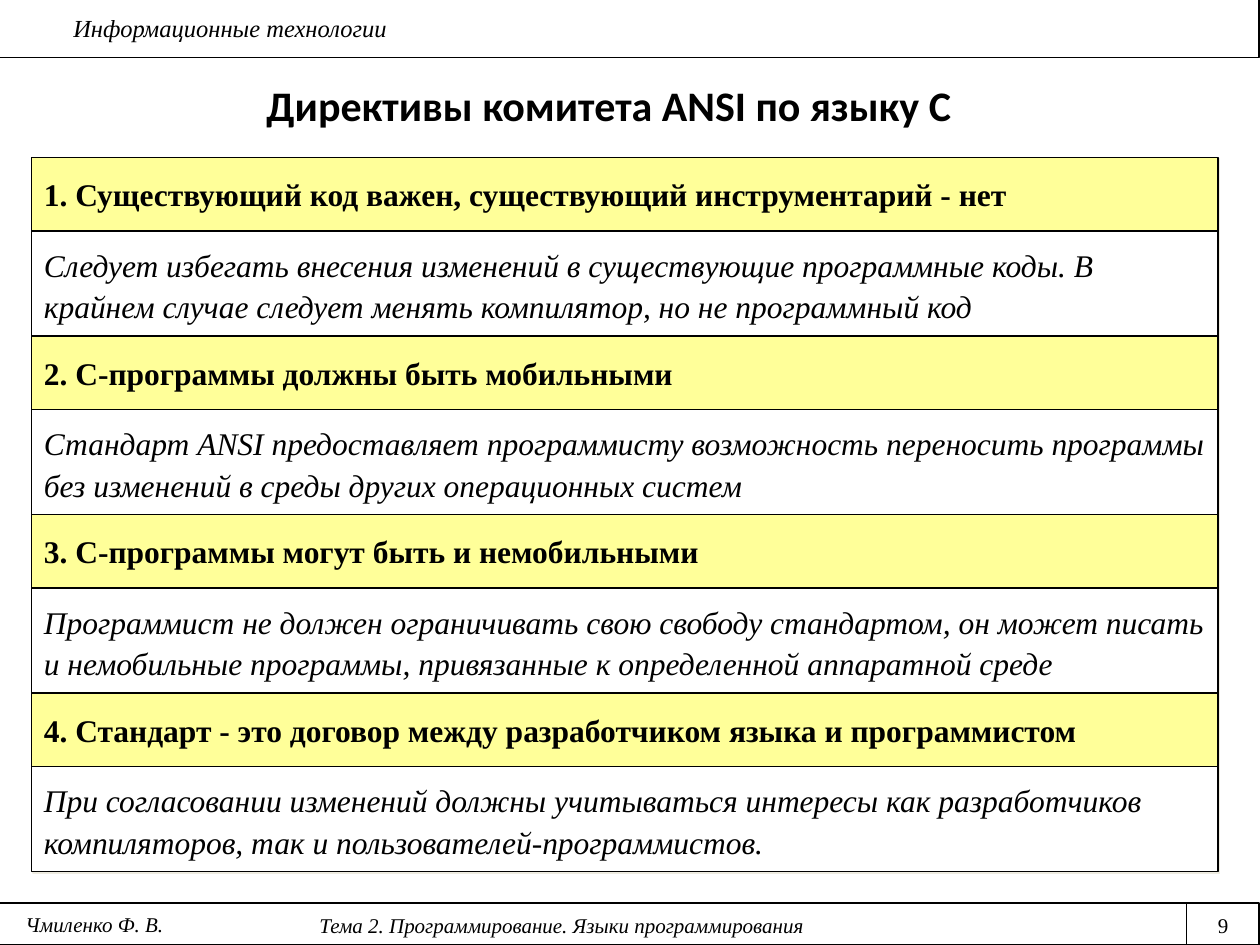
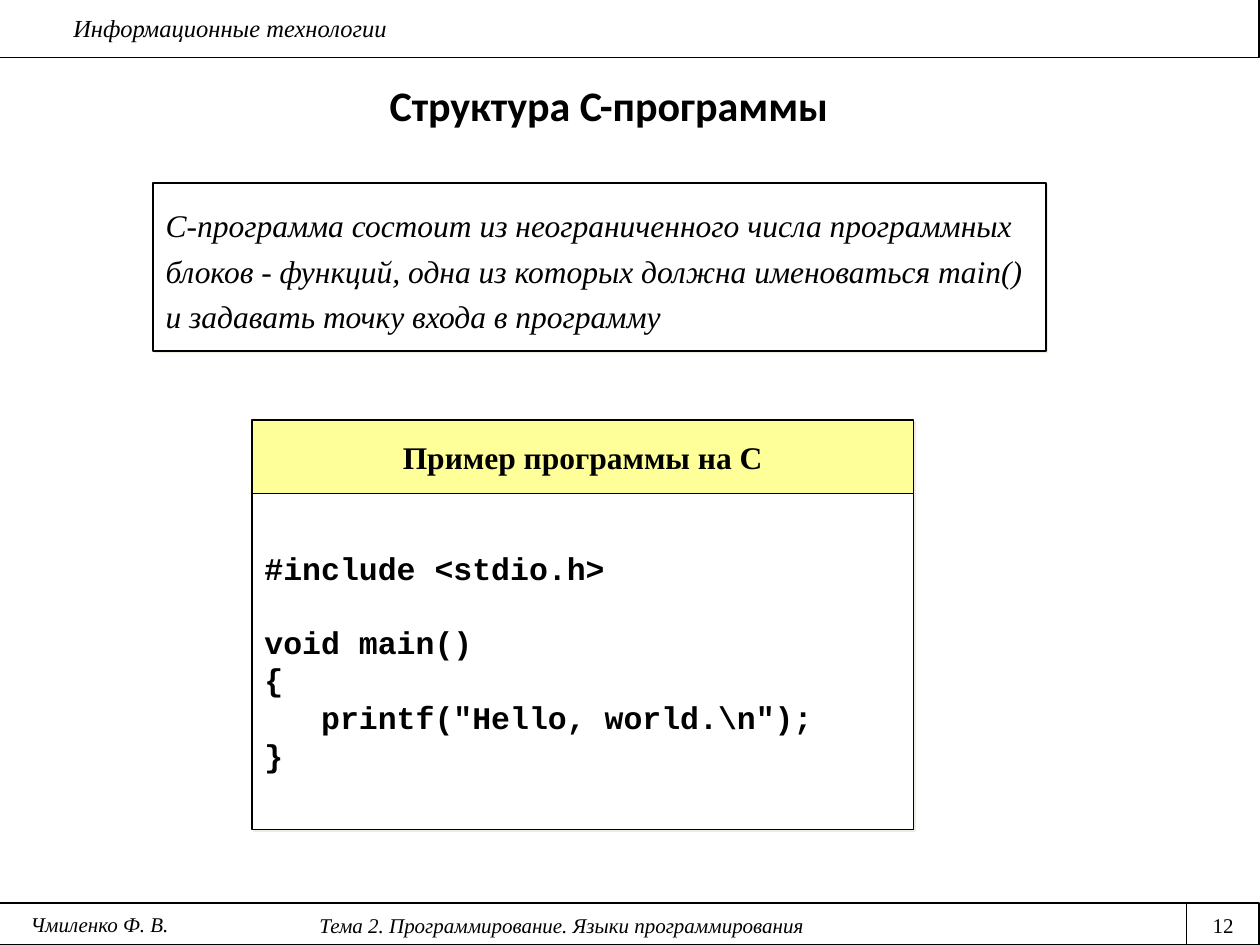
import pptx
import pptx.dml.color
import pptx.enum.shapes
import pptx.enum.text
import pptx.oxml
import pptx.oxml.ns
import pptx.util
from lxml import etree

PX = 7620  # EMU in one px, 120 px to the inch
SLIDE_W, SLIDE_H = 1200, 900
HEADER_H, FOOTER_H = 55, 40
FOOTER_TOP = SLIDE_H - FOOTER_H
NUMBER_LEFT = 1130
HEADING_H, STATEMENT_H = 70, 100

BLACK, WHITE, YELLOW, SHADE = "000000", "FFFFFF", "FFFF99", "EEECE1"
SERIF, SANS, MONO = "Times New Roman", "Calibri", "Courier New"
LEFT = pptx.enum.text.PP_ALIGN.LEFT
CENTER = pptx.enum.text.PP_ALIGN.CENTER
TOP = pptx.enum.text.MSO_ANCHOR.TOP
MIDDLE = pptx.enum.text.MSO_ANCHOR.MIDDLE

COURSE = "Информационные технологии"
TOPIC = "Тема 2. Программирование. Языки программирования"
AUTHOR = "Чмиленко Ф. В."

DIRECTIVES = [
    ("1. Существующий код важен, существующий инструментарий - нет",
     "Следует избегать внесения изменений в существующие программные коды. "
     "В крайнем случае следует менять компилятор, но не программный код"),
    ("2. С-программы должны быть мобильными",
     "Стандарт ANSI предоставляет программисту возможность переносить программы "
     "без изменений в среды других операционных систем"),
    ("3. С-программы могут быть и немобильными",
     "Программист не должен ограничивать свою свободу стандартом, он может писать "
     "и немобильные программы, привязанные к определенной аппаратной среде"),
    ("4. Стандарт - это договор между разработчиком языка и программистом",
     "При согласовании изменений должны учитываться интересы как разработчиков "
     "компиляторов, так и пользователей-программистов."),
]
DEFINITION = ("С-программа состоит из неограниченного числа программных блоков - функций, "
              "одна из которых должна именоваться main() и задавать точку входа в программу")
# Each code line: text, indent in characters, blank lines above
CODE = [
    ("#include <stdio.h>", 0, 0),
    ("void main()", 0, 1),
    ("{", 0, 0),
    ('printf("Hello, world.\\n");', 3, 0),
    ("}", 0, 0),
]
CODE_SIZE = 18
CODE_CHAR_W, CODE_LINE_H = 0.6 * CODE_SIZE, 1.13 * CODE_SIZE


def emu(*lengths):
    return [pptx.util.Emu(length * PX) for length in lengths]


def color(value):
    return pptx.dml.color.RGBColor.from_string(value)


def style(paragraph, size, font=SERIF, bold=False, italic=False, align=LEFT, spacing=None):
    paragraph.alignment = align
    if spacing:
        paragraph.line_spacing = spacing
    paragraph.font.name = font
    paragraph.font.size = pptx.util.Pt(size)
    paragraph.font.bold = bold
    paragraph.font.italic = italic
    paragraph.font.color.rgb = color(BLACK)


def label(slide, box, text, size, anchor=TOP, **look):
    frame = slide.shapes.add_textbox(*emu(*box)).text_frame
    frame.word_wrap = True
    frame.vertical_anchor = anchor
    frame.text = text
    style(frame.paragraphs[0], size, **look)


def band(slide, box, fill=WHITE, width=0.75):
    """Outlined rectangle without a shadow."""
    rect = slide.shapes.add_shape(pptx.enum.shapes.MSO_SHAPE.RECTANGLE, *emu(*box))
    rect.shadow.inherit = False
    rect.fill.solid()
    rect.fill.fore_color.rgb = color(fill)
    rect.line.color.rgb = color(BLACK)
    rect.line.width = pptx.util.Pt(width)
    return rect


def panel(slide, box, fill=WHITE):
    """Band with a pale offset shadow; returns its text frame."""
    rect = band(slide, box, fill, 1)
    effects = rect._element.spPr.find(pptx.oxml.ns.qn("a:effectLst"))
    shadow = etree.SubElement(effects, pptx.oxml.ns.qn("a:outerShdw"),
                              dist="17960", dir="2700000", algn="ctr", rotWithShape="0")
    etree.SubElement(shadow, pptx.oxml.ns.qn("a:srgbClr"), val=SHADE)
    frame = rect.text_frame
    frame.word_wrap = True
    frame.vertical_anchor = MIDDLE
    return frame


def text_panel(slide, box, text, fill=WHITE, **look):
    frame = panel(slide, box, fill)
    frame.text = text
    style(frame.paragraphs[0], 18, **look)


def header(slide):
    band(slide, (-1, -1, SLIDE_W, HEADER_H + 1))
    label(slide, (58, 7, 1130, 41), COURSE, 14, italic=True)


def footer(slide, number, author_left):
    band(slide, (-1, FOOTER_TOP, SLIDE_W, FOOTER_H))
    label(slide, (0, FOOTER_TOP + 3, 1070, 36), TOPIC, 12, italic=True, align=CENTER)
    label(slide, (NUMBER_LEFT, FOOTER_TOP + 3, SLIDE_W - NUMBER_LEFT, 36),
          str(number), 12, align=CENTER)
    divider = slide.shapes.add_connector(
        pptx.enum.shapes.MSO_CONNECTOR.STRAIGHT,
        *emu(NUMBER_LEFT, FOOTER_TOP, NUMBER_LEFT, SLIDE_H))
    divider.line.color.rgb = color(BLACK)
    divider.line.width = pptx.util.Pt(0.75)
    etree.SubElement(divider._element.spPr, pptx.oxml.ns.qn("a:effectLst"))
    label(slide, (author_left, FOOTER_TOP + 2, 180, 36), AUTHOR, 12,
          italic=True, align=CENTER)


def lecture_slide(deck, title, number, author_left=0):
    slide = deck.slides.add_slide(deck.slide_layouts[6])
    header(slide)
    footer(slide, number, author_left)
    label(slide, (30, 70, 1100, 60), title, 24, anchor=MIDDLE,
          font=SANS, bold=True, align=CENTER)
    return slide


def directive_list(slide, left, top, width):
    for index, (heading, statement) in enumerate(DIRECTIVES):
        y = top + index * (HEADING_H + STATEMENT_H)
        text_panel(slide, (left, y, width, HEADING_H), heading, YELLOW, bold=True)
        text_panel(slide, (left, y + HEADING_H, width, STATEMENT_H), statement,
                   italic=True, spacing=1.1)


def code_example(slide, left, top, width, height):
    text_panel(slide, (left, top, width, HEADING_H), "Пример программы на С", YELLOW,
               bold=True, align=CENTER)
    listing = panel(slide, (left, top + HEADING_H, width, height - HEADING_H))
    for index, (code, indent, blank_lines) in enumerate(CODE):
        line = listing.add_paragraph() if index else listing.paragraphs[0]
        line.text = code
        style(line, CODE_SIZE, font=MONO, bold=True)
        line.space_before = pptx.util.Pt(blank_lines * CODE_LINE_H)
        line._p.get_or_add_pPr().set("marL", str(pptx.util.Pt(indent * CODE_CHAR_W)))


def main():
    deck = pptx.Presentation()
    deck.slide_width, deck.slide_height = emu(SLIDE_W, SLIDE_H)

    directives = lecture_slide(deck, "Директивы комитета ANSI по языку С", 9)
    directive_list(directives, 30, 150, 1130)

    structure = lecture_slide(deck, "Структура С-программы", 12, author_left=5)
    text_panel(structure, (146, 174, 850, 160), DEFINITION, italic=True, spacing=1.2)
    code_example(structure, 240, 400, 630, 390)

    deck.save("out.pptx")


if __name__ == "__main__":
    main()
